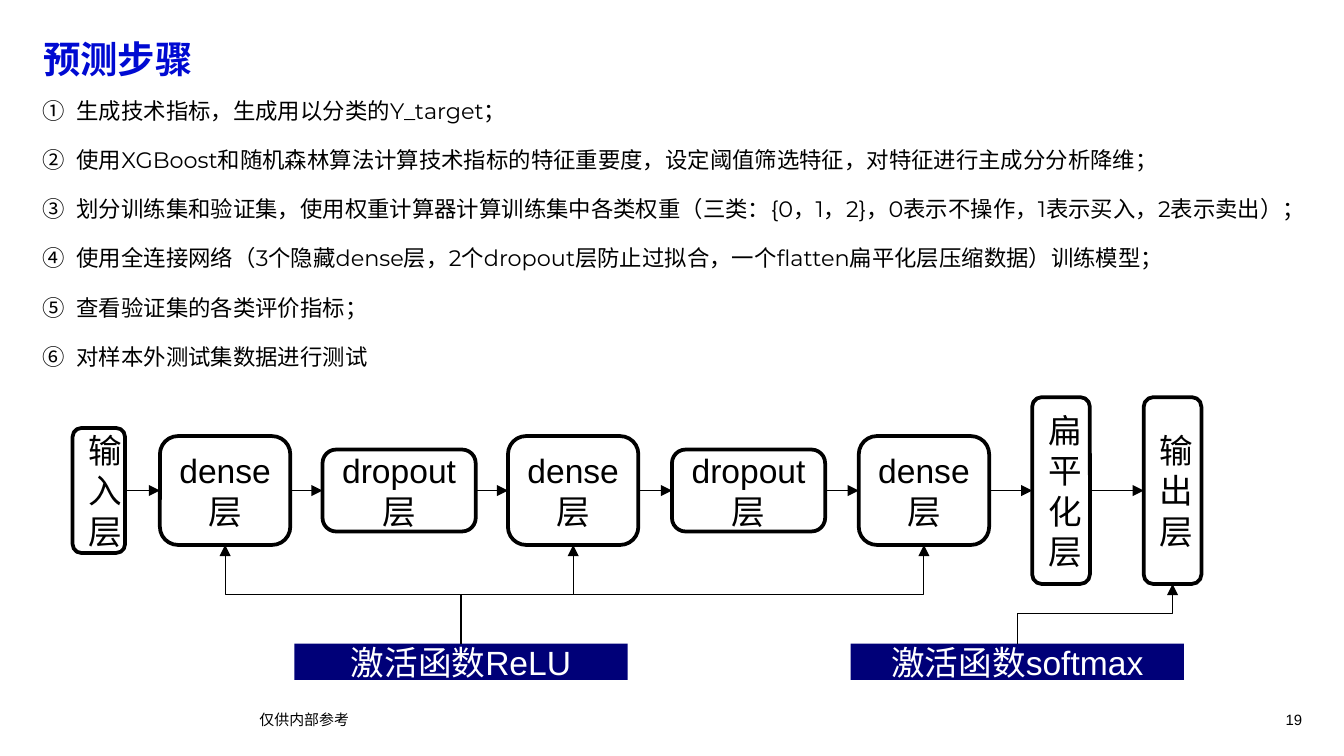
import pptx
import pptx.util
import pptx.dml.color
import pptx.enum.shapes
import pptx.enum.text
import pptx.oxml.ns
from lxml import etree

Inches, Pt = pptx.util.Inches, pptx.util.Pt
SHAPE = pptx.enum.shapes.MSO_SHAPE
LINK = pptx.enum.shapes.MSO_CONNECTOR
ALIGN = pptx.enum.text.PP_ALIGN
ANCHOR = pptx.enum.text.MSO_ANCHOR
qn = pptx.oxml.ns.qn

BLACK, WHITE, BLUE, NAVY = "000000", "FFFFFF", "000AD2", "000078"

TITLE = "预测步骤"
STEPS = [
    "生成技术指标，生成用以分类的Y_target；",
    "使用XGBoost和随机森林算法计算技术指标的特征重要度，设定阈值筛选特征，对特征进行主成分分析降维；",
    "划分训练集和验证集，使用权重计算器计算训练集中各类权重（三类：{0，1，2}，0表示不操作，1表示买入，2表示卖出）；",
    "使用全连接网络（3个隐藏dense层，2个dropout层防止过拟合，一个flatten扁平化层压缩数据）训练模型；",
    "查看验证集的各类评价指标；",
    "对样本外测试集数据进行测试",
]
DENSE, DROP = (["dense", "层"], 0.97, 0.81), (["dropout", "层"], 1.14, 0.61)
# left edge, (lines, width, height)
LAYERS = [
    (0.54, (["输入层"], 0.39, 0.93)),
    (1.19, DENSE),
    (2.4, DROP),
    (3.78, DENSE),
    (5, DROP),
    (6.39, DENSE),
    (7.68, (["扁", "平", "化", "层"], 0.43, 1.39)),
    (8.51, (["输出层"], 0.43, 1.39)),
]
# text, left edge, indexes of the layers it feeds
ACTS = [("激活函数ReLU", 2.19, (1, 3, 5)), ("激活函数softmax", 6.33, (7,))]
NOTES = [("仅供内部参考", 1.93, 6.46, ALIGN.LEFT), ("19", 9.3, 0.39, ALIGN.RIGHT)]
MID, ACT_TOP, ACT_W, ACT_H = 3.65, 4.79, 2.48, 0.27


def rgb(code):
    return pptx.dml.color.RGBColor.from_string(code)


def write(frame, lines, size, color=BLACK, name="Arial", align=ALIGN.LEFT,
          bold=False, inset=None, anchor=ANCHOR.TOP, gap=0, listed=False):
    form = {"word_wrap": True, "vertical_anchor": anchor,
            "auto_size": pptx.enum.text.MSO_AUTO_SIZE.NONE}
    if inset is not None:
        for side in ("left", "top", "right", "bottom"):
            form["margin_" + side] = Inches(inset)
    for key, val in form.items():
        setattr(frame, key, val)
    for i, line in enumerate(lines):
        para = frame.paragraphs[0] if i == 0 else frame.add_paragraph()
        para.alignment = align
        para.space_before = Pt(gap if i else 0)
        if listed:
            props = para._p.get_or_add_pPr()
            props.set("marL", str(Inches(0.25)))
            props.set("indent", str(-Inches(0.25)))
            etree.SubElement(props, qn("a:buAutoNum"), type="circleNumDbPlain")
        run = para.add_run()
        run.text = line
        for key, val in {"size": Pt(size), "name": name, "bold": bold}.items():
            setattr(run.font, key, val)
        run.font.color.rgb = rgb(color)


def box(kind, x, y, w, h, lines, fill, color, edge=None):
    shape = slide.shapes.add_shape(kind, *map(Inches, (x, y, w, h)))
    shape.shadow.inherit = False
    shape.fill.solid()
    shape.fill.fore_color.rgb = rgb(fill)
    if edge:
        shape.line.color.rgb = rgb(edge)
        shape.line.width = Pt(2)
    else:
        shape.line.fill.background()
    write(shape.text_frame, lines, 18, color, align=ALIGN.CENTER,
          anchor=ANCHOR.MIDDLE)


def arrow(kind, x1, y1, x2, y2):
    link = slide.shapes.add_connector(kind, *map(Inches, (x1, y1, x2, y2)))
    link.line.color.rgb = rgb(BLACK)
    link.line.width = Pt(0.5)
    etree.SubElement(link.line._get_or_add_ln(), qn("a:tailEnd"), type="triangle")
    etree.SubElement(link._element.spPr, qn("a:effectLst"))
    return link


def rise(x1, y1, x2, y2):
    """Elbow arrow that leaves and arrives vertically: a quarter-turned elbow."""
    cx, cy = (x1 + x2) / 2, (y1 + y2) / 2
    half, reach = (y1 - y2) / 2, (x2 - x1) / 2
    link = arrow(LINK.ELBOW, cx - half, cy - reach, cx + half, cy + reach)
    link._element.spPr.find(qn("a:xfrm")).set("rot", str(270 * 60000))


def label(x, y, w, h, lines, size, **form):
    area = slide.shapes.add_textbox(*map(Inches, (x, y, w, h)))
    write(area.text_frame, lines, size, inset=0, **form)


deck = pptx.Presentation()
deck.slide_width = Inches(10)
deck.slide_height = deck.slide_width * 9 // 16
slide = deck.slides.add_slide(deck.slide_layouts[5])

title = slide.shapes.title
for key, val in {"left": 0.32, "top": 0.27, "width": 1.95, "height": 0.35}.items():
    setattr(title, key, Inches(val))
write(title.text_frame, [TITLE], 20, BLUE, bold=True, inset=0)

label(0.32, 0.72, 9.37, 2.09, STEPS, 12, name="Montserrat", gap=12, listed=True)
for text, x, w, align in NOTES:
    label(x, 5.28, w, 0.15, [text], 8, align=align, anchor=ANCHOR.MIDDLE)

for x, (lines, w, h) in LAYERS:
    box(SHAPE.ROUNDED_RECTANGLE, x, MID - h / 2, w, h, lines, WHITE, BLACK, BLACK)
for (x, (_, w, _)), (end, _) in zip(LAYERS, LAYERS[1:]):
    arrow(LINK.STRAIGHT, x + w, MID, end, MID)

for text, left, feeds in ACTS:
    box(SHAPE.RECTANGLE, left, ACT_TOP, ACT_W, ACT_H, [text], NAVY, WHITE)
    for i in feeds:
        x, (_, w, h) = LAYERS[i]
        rise(left + ACT_W / 2, ACT_TOP, x + w / 2, MID + h / 2)

deck.save("out.pptx")
